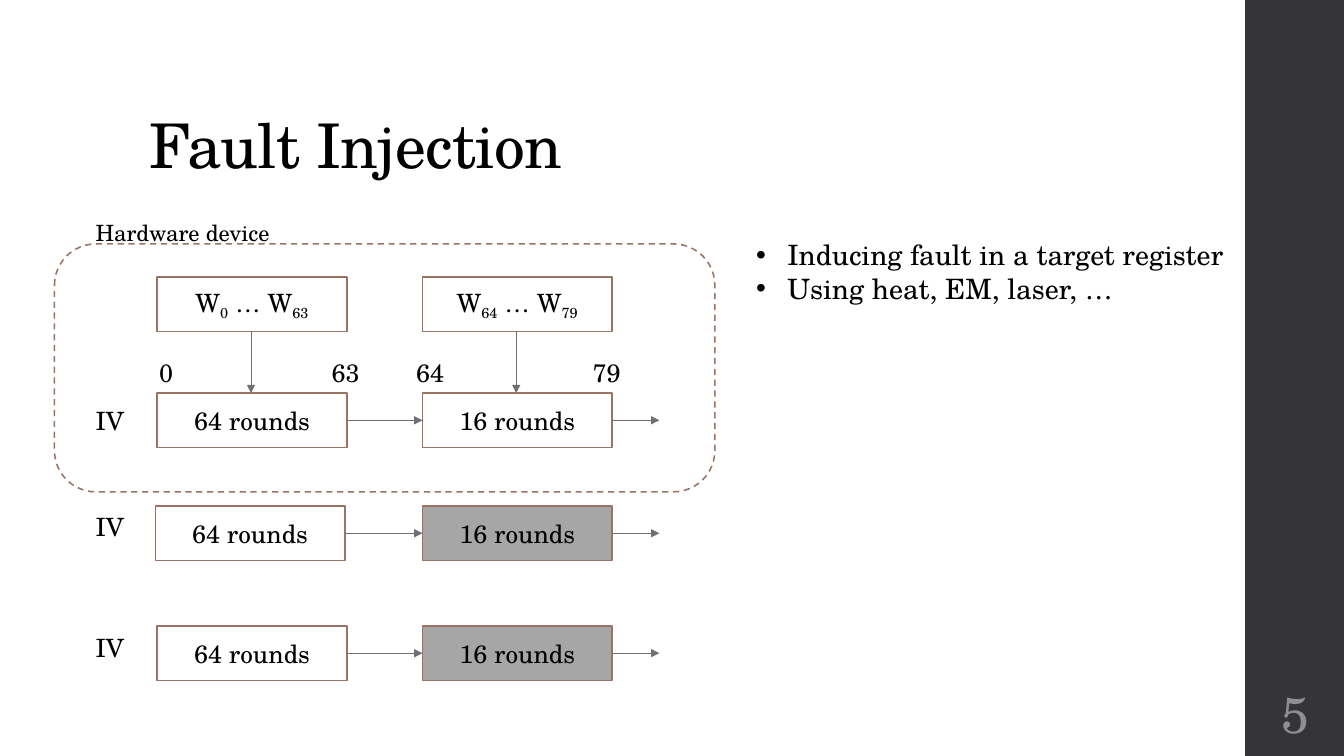
from typing import NamedTuple

from lxml import etree
from pptx import Presentation
from pptx.dml.color import RGBColor
from pptx.enum import dml, shapes, text
from pptx.oxml import ns
from pptx.util import Pt

PX = 9144  # EMU, 100 px to the inch
FONT = "TeX Gyre Schola"
BLACK, WHITE, DARK, PALE = "000000", "FFFFFF", "353537", "8E8E94"
GREY, BROWN, STEEL = "A6A6A6", "9B7362", "6F6F74"
BOX_W, BOX_H = 188, 54
RIGHT_X = 419
WORD_Y = 275


class Row(NamedTuple):
    left: int
    top: int
    iv_top: int
    fill: str


class Label(NamedTuple):
    words: str
    left: int
    top: int
    width: int
    height: int = 40
    size: int = 18


class Words(NamedTuple):
    left: int
    first: str
    last: str


ROWS = [
    Row(156, 390, 397, WHITE),
    Row(154, 502, 502, GREY),
    Row(156, 621, 622, GREY),
]
WORDS = [Words(156, "0", "63"), Words(RIGHT_X, "64", "79")]
LABELS = [
    Label("0", 148, 350, 32),
    Label("63", 319, 350, 53),
    Label("64", 403, 350, 57),
    Label("79", 578, 350, 57),
    Label("Hardware device", 85, 212, 257, 37, 16),
    *(Label("IV", 85, row.iv_top, 58) for row in ROWS),
]
POINTS = ["Inducing fault in a target register", "Using heat, EM, laser, …"]


def rgb(code: str) -> RGBColor:
    return RGBColor.from_string(code)


def add_run(para, words: str, size: int = 18, color: str = BLACK, base: int = 0):
    run = para.add_run()
    run.text = words
    run.font.size = Pt(size)
    run.font.name = FONT
    run.font.color.rgb = rgb(color)
    if base:
        run.font._element.set("baseline", str(base * 1000))
    return run


def add_box(slide, kind, left: int, top: int, width: int, height: int,
            fill: str = "", line: str = ""):
    box = slide.shapes.add_shape(kind, left * PX, top * PX, width * PX, height * PX)
    box.shadow.inherit = False
    if fill:
        box.fill.solid()
        box.fill.fore_color.rgb = rgb(fill)
    else:
        box.fill.background()
    if line:
        box.line.color.rgb = rgb(line)
        box.line.width = Pt(1.1)
    else:
        box.line.fill.background()
    return box


def add_cell(slide, left: int, top: int, fill: str = WHITE):
    """Add an outlined box of the diagram and return its centred paragraph."""
    box = add_box(slide, shapes.MSO_SHAPE.RECTANGLE, left, top, BOX_W, BOX_H, fill, BROWN)
    box.text_frame.vertical_anchor = text.MSO_ANCHOR.MIDDLE
    para = box.text_frame.paragraphs[0]
    para.alignment = text.PP_ALIGN.CENTER
    return para


def add_frame(slide, left: int, top: int, width: int, height: int, wrap: bool = True):
    box = slide.shapes.add_textbox(left * PX, top * PX, width * PX, height * PX)
    box.text_frame.word_wrap = wrap
    return box.text_frame


def add_arrow(slide, x1: int, y1: int, x2: int, y2: int) -> None:
    line = slide.shapes.add_connector(
        shapes.MSO_CONNECTOR.STRAIGHT, x1 * PX, y1 * PX, x2 * PX, y2 * PX)
    line.line.color.rgb = rgb(STEEL)
    line.line.width = Pt(0.75)
    etree.SubElement(line.line._get_or_add_ln(), ns.qn("a:tailEnd"), type="triangle")
    etree.SubElement(line._element.spPr, ns.qn("a:effectLst"))


def add_title(slide) -> None:
    title = slide.shapes.title
    title.left, title.top, title.width, title.height = (
        n * PX for n in (138, 40, 1060, 145))
    frame = title.text_frame
    frame.auto_size = text.MSO_AUTO_SIZE.NONE
    frame.vertical_anchor = text.MSO_ANCHOR.BOTTOM
    para = frame.paragraphs[0]
    para.alignment = text.PP_ALIGN.LEFT
    para.line_spacing = 0.9
    run = add_run(para, "Fault Injection", 44)
    run.font._element.set("spc", "-50")


def add_side(slide) -> None:
    """Add the dark band with the slide number."""
    add_box(slide, shapes.MSO_SHAPE.RECTANGLE, 1235, 0, 98, 750, DARK)
    frame = add_frame(slide, 1235, 675, 100, 65)
    frame.vertical_anchor = text.MSO_ANCHOR.MIDDLE
    frame.margin_left = frame.margin_right = 5 * PX
    para = frame.paragraphs[0]
    para.alignment = text.PP_ALIGN.CENTER
    add_run(para, "5", 36, PALE)


def add_rounds(slide) -> None:
    for row in ROWS:
        add_run(add_cell(slide, row.left, row.top), "64 rounds")
        add_run(add_cell(slide, RIGHT_X, row.top, row.fill), "16 rounds")
        mid = row.top + BOX_H // 2
        add_arrow(slide, row.left + BOX_W, mid, RIGHT_X, mid)
        add_arrow(slide, RIGHT_X + BOX_W, mid, 654, mid)


def add_words(slide) -> None:
    for word in WORDS:
        para = add_cell(slide, word.left, WORD_Y)
        add_run(para, "W")
        add_run(para, word.first, base=-25)
        add_run(para, " … W")
        add_run(para, word.last, base=-25)
        mid = word.left + BOX_W // 2 - 1
        add_arrow(slide, mid, WORD_Y + BOX_H, mid, ROWS[0].top)


def add_points(slide) -> None:
    frame = add_frame(slide, 740, 231, 488, 77, wrap=False)
    for i, words in enumerate(POINTS):
        para = frame.add_paragraph() if i else frame.paragraphs[0]
        props = para._p.get_or_add_pPr()
        props.set("marL", str(31 * PX))
        props.set("indent", str(-31 * PX))
        etree.SubElement(props, ns.qn("a:buFont"), typeface="Arial")
        etree.SubElement(props, ns.qn("a:buChar"), char="•")
        add_run(para, words, 20)


def main() -> None:
    deck = Presentation()
    deck.slide_width, deck.slide_height = 1333 * PX, 750 * PX
    slide = deck.slides.add_slide(deck.slide_layouts[5])
    add_side(slide)
    add_title(slide)
    add_rounds(slide)
    add_words(slide)
    device = add_box(slide, shapes.MSO_SHAPE.ROUNDED_RECTANGLE, 54, 242, 655, 246, line=BROWN)
    device.line.dash_style = dml.MSO_LINE.DASH
    for label in LABELS:
        frame = add_frame(slide, label.left, label.top, label.width, label.height)
        add_run(frame.paragraphs[0], label.words, label.size)
    add_points(slide)
    deck.save("out.pptx")


if __name__ == "__main__":
    main()
